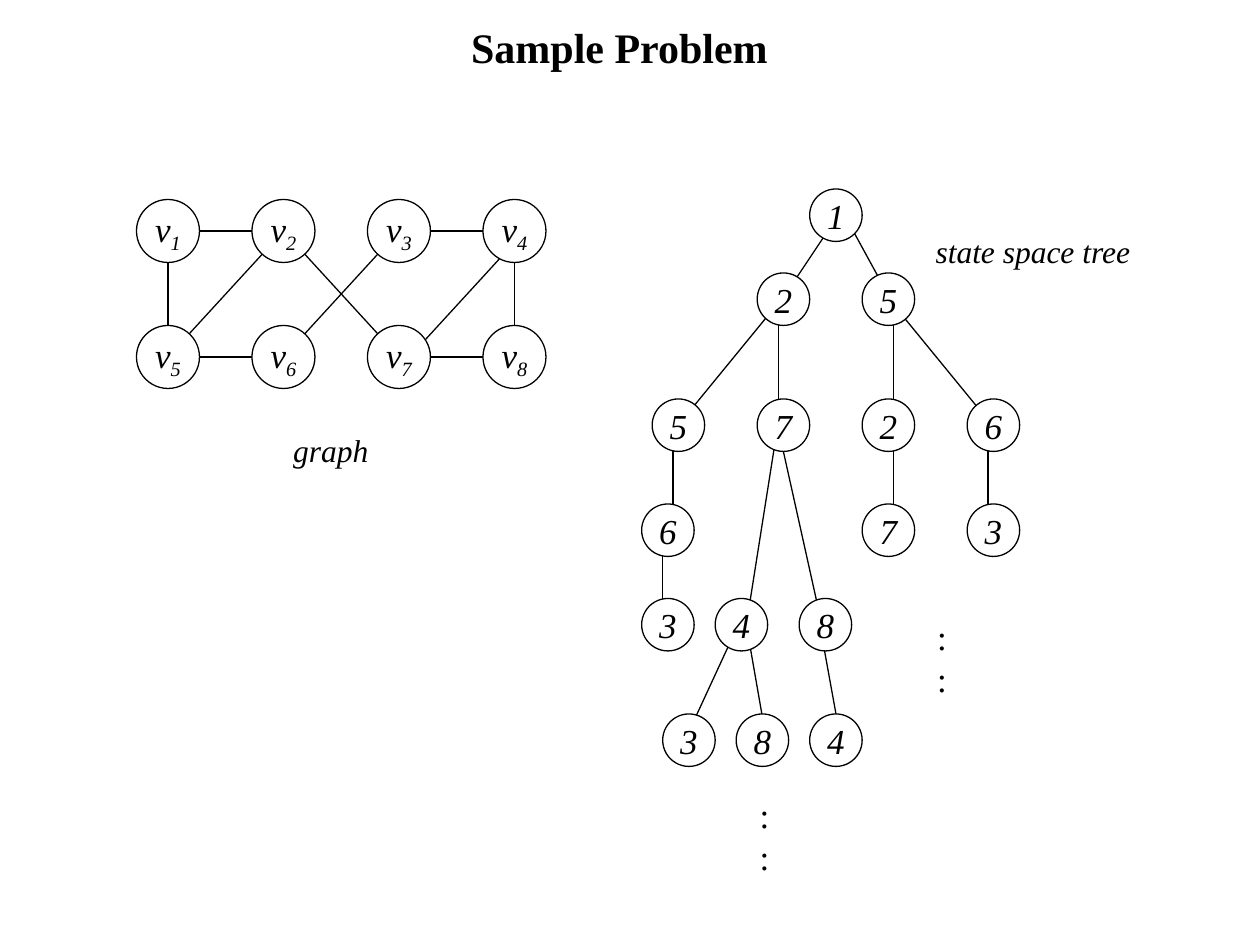
from itertools import product
from typing import NamedTuple

from lxml import etree
from pptx import Presentation
from pptx.dml.color import RGBColor
from pptx.enum.shapes import MSO_CONNECTOR, MSO_SHAPE
from pptx.enum.text import MSO_ANCHOR, MSO_AUTO_SIZE, PP_ALIGN
from pptx.oxml.ns import qn
from pptx.util import Pt

LINE, OVAL = MSO_CONNECTOR.STRAIGHT, MSO_SHAPE.OVAL
MIDDLE, CENTER = MSO_ANCHOR.MIDDLE, PP_ALIGN.CENTER
NO_FIT, GROW = MSO_AUTO_SIZE.NONE, MSO_AUTO_SIZE.SHAPE_TO_FIT_TEXT
FACE, BLACK, WHITE = "Times New Roman", "000000", "FFFFFF"


class Node(NamedTuple):
    text: str
    x: float  # centre
    y: float
    size: float
    sub: str = ""


class Edge(NamedTuple):
    x1: float
    y1: float
    x2: float
    y2: float


class Label(NamedTuple):
    lines: tuple[str, ...]
    x: float
    y: float
    w: float
    h: float
    size: float
    italic: bool


# Graph: two rows of four vertices
GAP_X, GAP_Y = 66, 72
GRAPH = [
    Node("v", 96 + GAP_X * col, 132 + GAP_Y * row, 36, str(4 * row + col + 1))
    for row, col in product(range(2), range(4))
]
# Vertex pairs, with a shift to the right
PAIRS = [(1, 2, 0), (2, 7, 0), (3, 6, 0), (3, 4, 0), (4, 7, 6),
         (4, 8, 0), (7, 8, 0), (5, 6, 0), (2, 5, 0), (1, 5, 0)]

# State space tree: level height, then each label with its steps from the root
ROOT, STEP = 477.7, 6
LEVELS = [
    (123, [("1", 0)]),
    (171, [("2", -5), ("5", 5)]),
    (243, [("5", -15), ("7", -5), ("2", 5), ("6", 15)]),
    (303, [("6", -16), ("7", 5), ("3", 15)]),
    (357, [("3", -16), ("4", -9), ("8", -1)]),
    (423, [("3", -14), ("8", -7), ("4", 0)]),
]
TREE = [Node(text, ROOT + STEP * step, y, 30)
        for y, row in LEVELS for text, step in row]
BRANCHES = [
    Edge(481, 120, 445, 174), Edge(481, 120, 510.5, 174),
    Edge(444, 174, 390, 240), Edge(445, 168, 445, 246),
    Edge(510.5, 174, 510.5, 240), Edge(510.5, 174, 564.5, 240),
    Edge(384.5, 246, 384.5, 300), Edge(444, 246, 426, 360),
    Edge(445, 246, 469, 354), Edge(510.5, 246, 510.5, 300),
    Edge(564.5, 240, 564.5, 300), Edge(378.5, 306, 378.5, 366),
    Edge(420.5, 360, 390, 426), Edge(427, 360, 438.5, 426),
    Edge(469, 360, 481, 426),
]

LABELS = [
    Label((":", ":"), 528.5, 348, 19.5, 55.5, 20, False),
    Label((":", ":"), 427, 450, 19.5, 55.5, 20, False),
    Label(("state space tree",), 527.5, 129, 126, 29, 18, True),
    Label(("graph",), 160.5, 243, 58, 29, 18, True),
]


def rgb(code: str) -> RGBColor:
    return RGBColor.from_string(code)


def style(para, size: float, bold: bool = False, italic: bool = False) -> None:
    font = para.font
    font.name, font.size = FACE, Pt(size)
    font.bold, font.italic = bold, italic
    font.color.rgb = rgb(BLACK)


def ink(line) -> None:
    line.color.rgb = rgb(BLACK)
    line.width = Pt(0.75)


def draw_edge(shapes, edge: Edge) -> None:
    line = shapes.add_connector(LINE, *map(Pt, edge))
    ink(line.line)
    etree.SubElement(line._element.spPr, qn("a:effectLst"))


def draw_node(shapes, node: Node) -> None:
    half = node.size / 2
    oval = shapes.add_shape(OVAL, Pt(node.x - half), Pt(node.y - half),
                            Pt(node.size), Pt(node.size))
    oval.shadow.inherit = False
    oval.fill.solid()
    oval.fill.fore_color.rgb = rgb(WHITE)
    ink(oval.line)
    frame = oval.text_frame
    frame.word_wrap, frame.vertical_anchor = False, MIDDLE
    para = frame.paragraphs[0]
    para.alignment = CENTER
    style(para, 20, italic=True)
    para.add_run().text = node.text
    if node.sub:
        run = para.add_run()
        run.text = node.sub
        run._r.get_or_add_rPr().set("baseline", "-25000")


def draw_label(shapes, label: Label) -> None:
    box = shapes.add_textbox(Pt(label.x), Pt(label.y), Pt(label.w), Pt(label.h))
    frame = box.text_frame
    frame.word_wrap, frame.auto_size = False, GROW
    frame.text = "\n".join(label.lines)
    for para in frame.paragraphs:
        style(para, label.size, italic=label.italic)


def main() -> None:
    deck = Presentation()
    deck.slide_width, deck.slide_height = Pt(720), Pt(540)
    slide = deck.slides.add_slide(deck.slide_layouts[5])
    shapes = slide.shapes

    # Title
    title = shapes.title
    title.left, title.top, title.width, title.height = map(Pt, (48, 5.5, 612, 42))
    frame = title.text_frame
    frame.text = "Sample Problem"
    frame.vertical_anchor, frame.auto_size = MIDDLE, NO_FIT
    frame.paragraphs[0].alignment = CENTER
    style(frame.paragraphs[0], 24, bold=True)

    # Edges go behind the nodes
    for edge in BRANCHES:
        draw_edge(shapes, edge)
    for start, end, shift in PAIRS:
        a, b = GRAPH[start - 1], GRAPH[end - 1]
        draw_edge(shapes, Edge(a.x + shift, a.y, b.x + shift, b.y))

    # Nodes and labels
    for node in GRAPH + TREE:
        draw_node(shapes, node)
    for label in LABELS:
        draw_label(shapes, label)

    deck.save("out.pptx")


if __name__ == "__main__":
    main()
